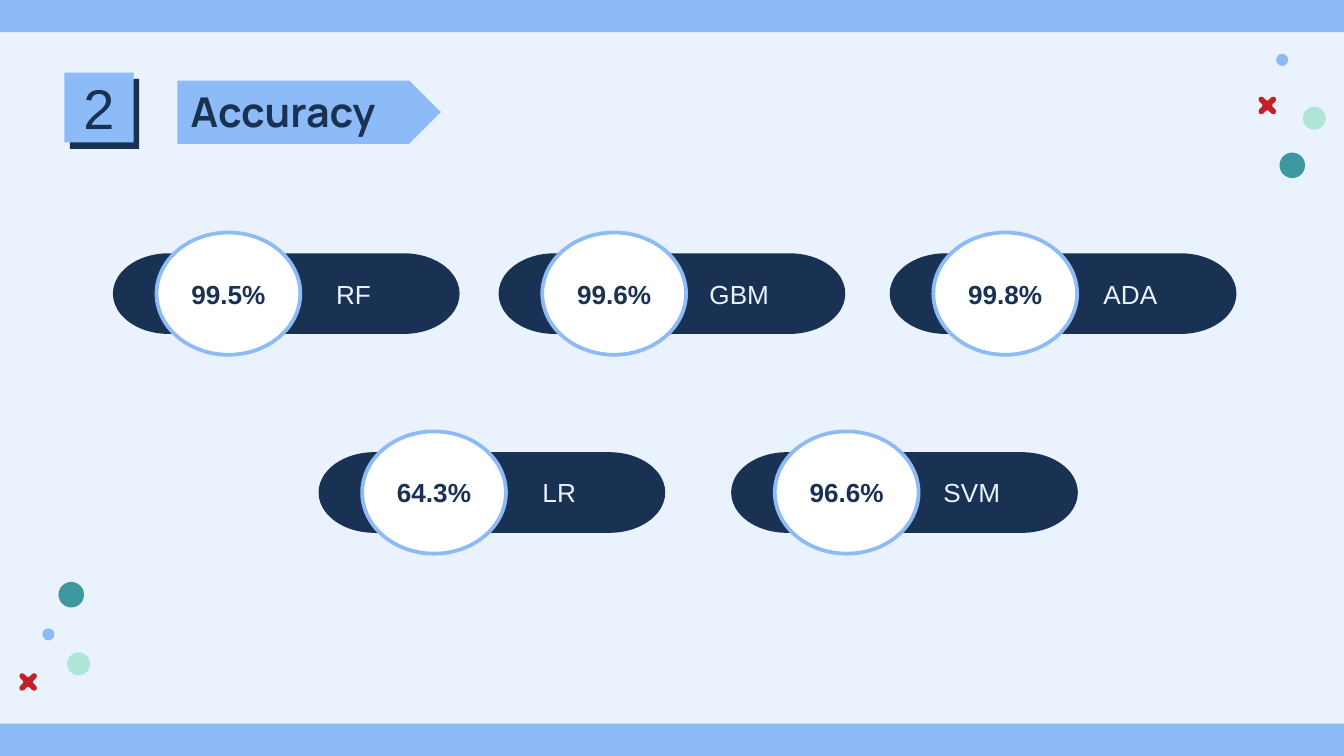
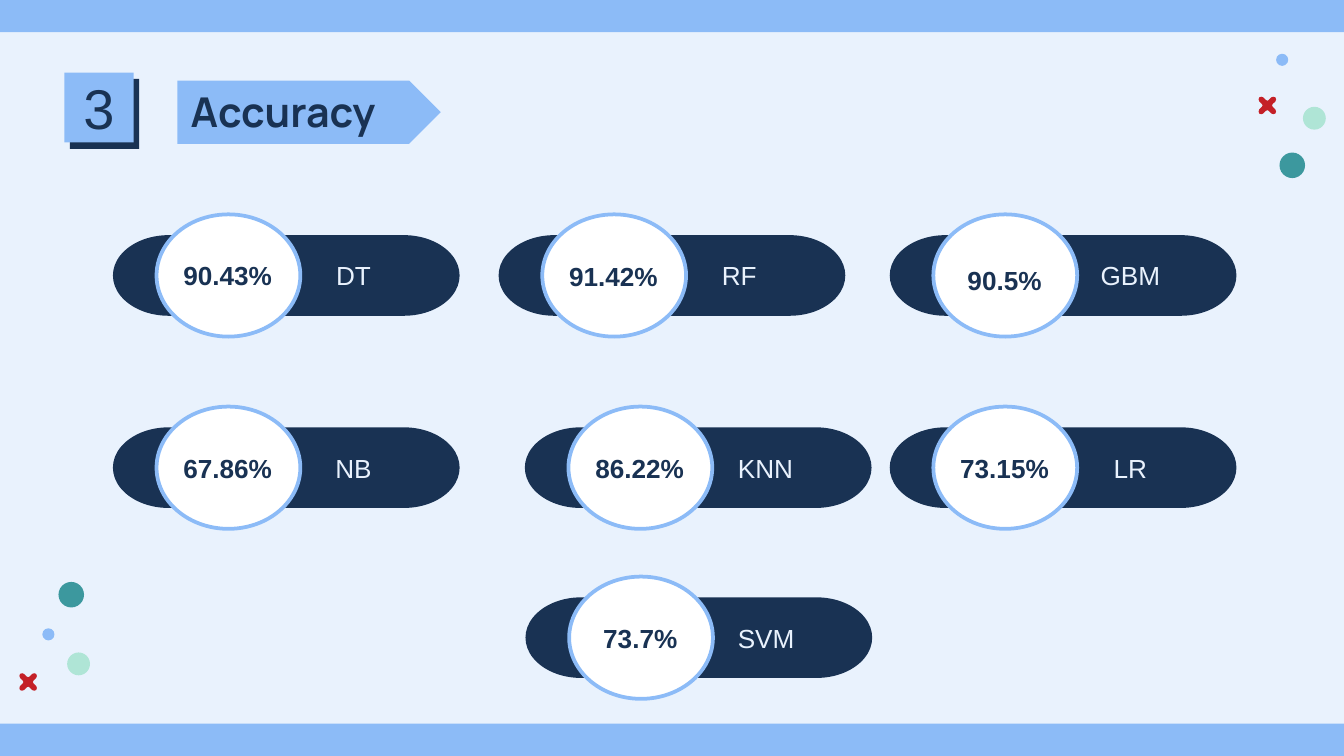
from lxml import etree
from pptx import Presentation
from pptx import util as u
from pptx.dml.color import RGBColor
from pptx.enum import shapes, text
from pptx.oxml.ns import qn

PX = 4572  # EMU in one px, 200 px to the inch
COL = {"pale": "E9F2FD", "sky": "8CBBF7", "navy": "193253", "white": "FFFFFF",
       "mint": "AFE5D6", "teal": "3C989E", "red": "C42027"}
KIND = shapes.MSO_SHAPE

# Text formats
HEAD = {"size": u.Pt(22), "name": "Manrope", "bold": True}
NUM = {"size": u.Pt(30), "name": "Arial", "bold": False}
RATE = {"size": u.Pt(14), "name": "Arial", "bold": True}
NAME = {"size": u.Pt(14), "name": "Arial", "bold": False}

# Corner dots: centre x, centre y, size, colour
DOTS = [(1956, 176, 34, "mint"), (1908, 89, 18, "sky"), (1923, 246, 38, "teal"),
        (117, 988, 34, "mint"), (72, 944, 18, "sky"), (106, 885, 38, "teal")]
CROSS = [(1886, 157), (42, 1015)]
ARM = [(0, -7), (2, -8), (6, -12), (9, -13), (12, -12), (13, -9), (12, -6), (8, -2)]

# Each slide: number, rates in own boxes or not, pills as
# left, top, model, rate, drop of the rate box
PAGES = [
    ("2", False, [
        (168, 377, "RF", "99.5%", 0), (742, 377, "GBM", "99.6%", 0),
        (1324, 377, "ADA", "99.8%", 0), (474, 673, "LR", "64.3%", 0),
        (1088, 673, "SVM", "96.6%", 0)]),
    ("3", True, [
        (168, 350, "DT", "90.43%", 26), (742, 350, "RF", "91.42%", 28),
        (1324, 350, "GBM", "90.5%", 34), (168, 636, "NB", "67.86%", 28),
        (781, 636, "KNN", "86.22%", 28), (1324, 636, "LR", "73.15%", 28),
        (782, 889, "SVM", "73.7%", 28)]),
]


def draw(page, kind, box, fill, line=None):
    part = page.shapes.add_shape(kind, *[v * PX for v in box])
    part.shadow.inherit = False
    part.fill.solid()
    part.fill.fore_color.rgb = RGBColor.from_string(COL[fill])
    if line:
        part.line.color.rgb = RGBColor.from_string(COL[line])
        part.line.width = u.Pt(2)
    else:
        part.line.fill.background()
    return part


def write(part, words, look, color, align="CENTER", anchor="MIDDLE"):
    frame = part.text_frame
    frame.vertical_anchor = text.MSO_ANCHOR[anchor]
    para = frame.paragraphs[0]
    para.alignment = text.PP_ALIGN[align]
    run = para.add_run()
    run.text = words
    for key, val in look.items():
        setattr(run.font, key, val)
    run.font.color.rgb = RGBColor.from_string(COL[color])
    return frame


deck = Presentation()
deck.slide_width, deck.slide_height = 2000 * PX, 1125 * PX

for num, apart, pills in PAGES:
    page = deck.slides.add_slide(deck.slide_layouts[6])
    page.background.fill.solid()
    page.background.fill.fore_color.rgb = RGBColor.from_string(COL["pale"])

    # Corner dots and crosses
    for x, y, size, color in DOTS:
        draw(page, KIND.OVAL, (x - size // 2, y - size // 2, size, size), color)
    for x, y in CROSS:
        pts, arm = [], ARM
        for turn in range(4):
            pts += [(x + a, y + b) for a, b in arm]
            arm = [(-b, a) for a, b in arm]
        form = page.shapes.build_freeform(*pts[0], scale=PX)
        form.add_line_segments(pts[1:], close=True)
        mark = form.convert_to_shape()
        mark.shadow.inherit = False
        mark.fill.solid()
        mark.fill.fore_color.rgb = RGBColor.from_string(COL["red"])
        mark.line.fill.background()

    # Bands
    for top in (0, 1077):
        draw(page, KIND.RECTANGLE, (0, top, 2000, 48), "sky")

    # Title on its arrow
    draw(page, KIND.PENTAGON, (264, 120, 392, 94), "sky")
    title = page.shapes.add_textbox(*[v * PX for v in (264, 108, 1554, 106)])
    frame = write(title, "Accuracy", HEAD, "navy", "LEFT", "TOP")
    frame.word_wrap = True
    frame.margin_top = frame.margin_bottom = 20 * PX

    # Number with hard shadow
    tile = draw(page, KIND.RECTANGLE, (96, 108, 103, 104), "sky")
    write(tile, num, NUM, "navy")
    glow = tile._element.spPr.find(qn("a:effectLst"))
    cast = etree.SubElement(glow, qn("a:outerShdw"), dist="57150", dir="3000000",
                            algn="bl", rotWithShape="0")
    etree.SubElement(cast, qn("a:srgbClr"), val=COL["navy"])

    # Pills with model and rate; the wide left margin clears the disc
    for x, y, model, rate, drop in pills:
        pill = draw(page, KIND.FLOWCHART_TERMINATOR, (x, y, 516, 120), "navy")
        write(pill, model, NAME, "pale").margin_left = 220 * PX
        disc = draw(page, KIND.OVAL, (x + 65, y - 31, 214, 182), "white", "sky")
        if apart:
            note = page.shapes.add_textbox(*[v * PX for v in (x + 84, y + drop, 174, 68)])
            write(note, rate, RATE, "navy", anchor="TOP").word_wrap = False
        else:
            write(disc, rate, RATE, "navy")

deck.save("out.pptx")
